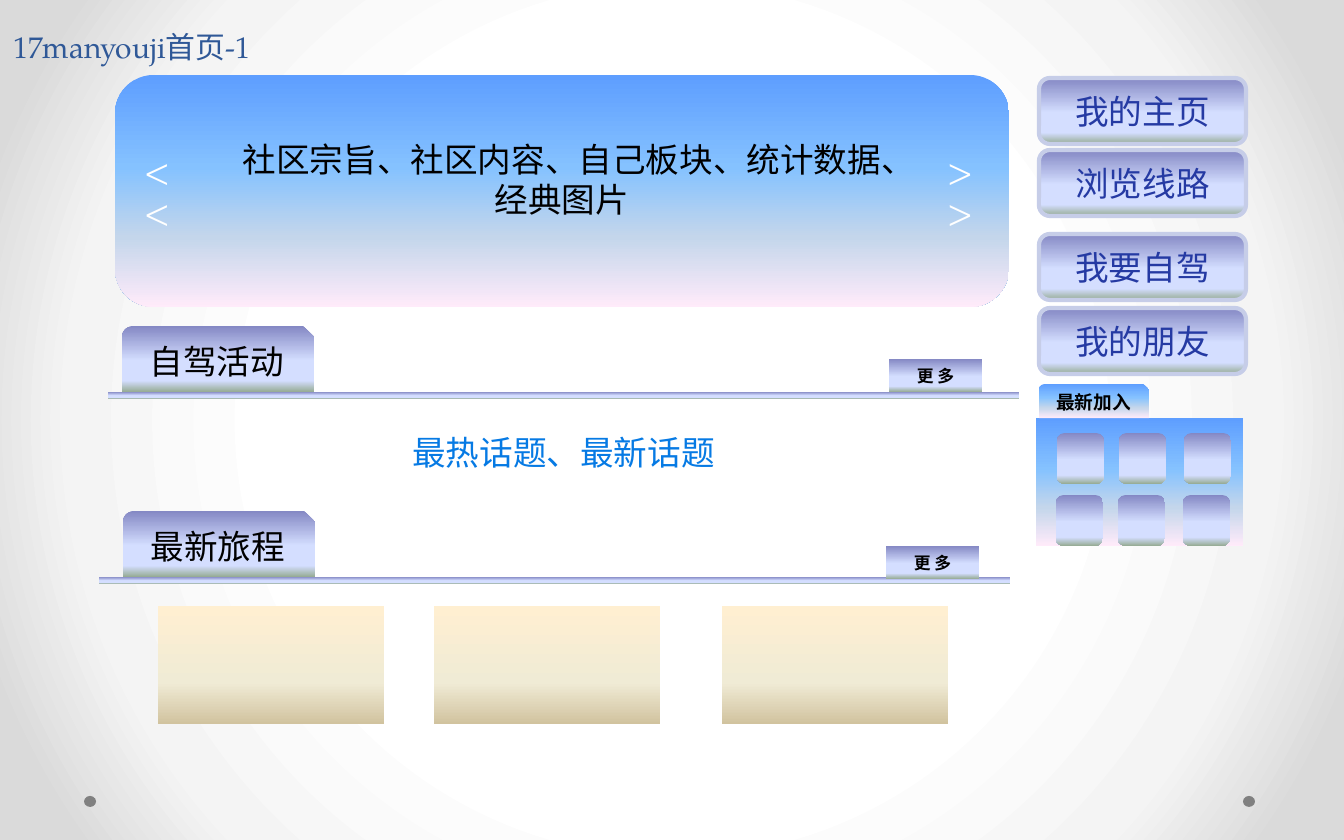
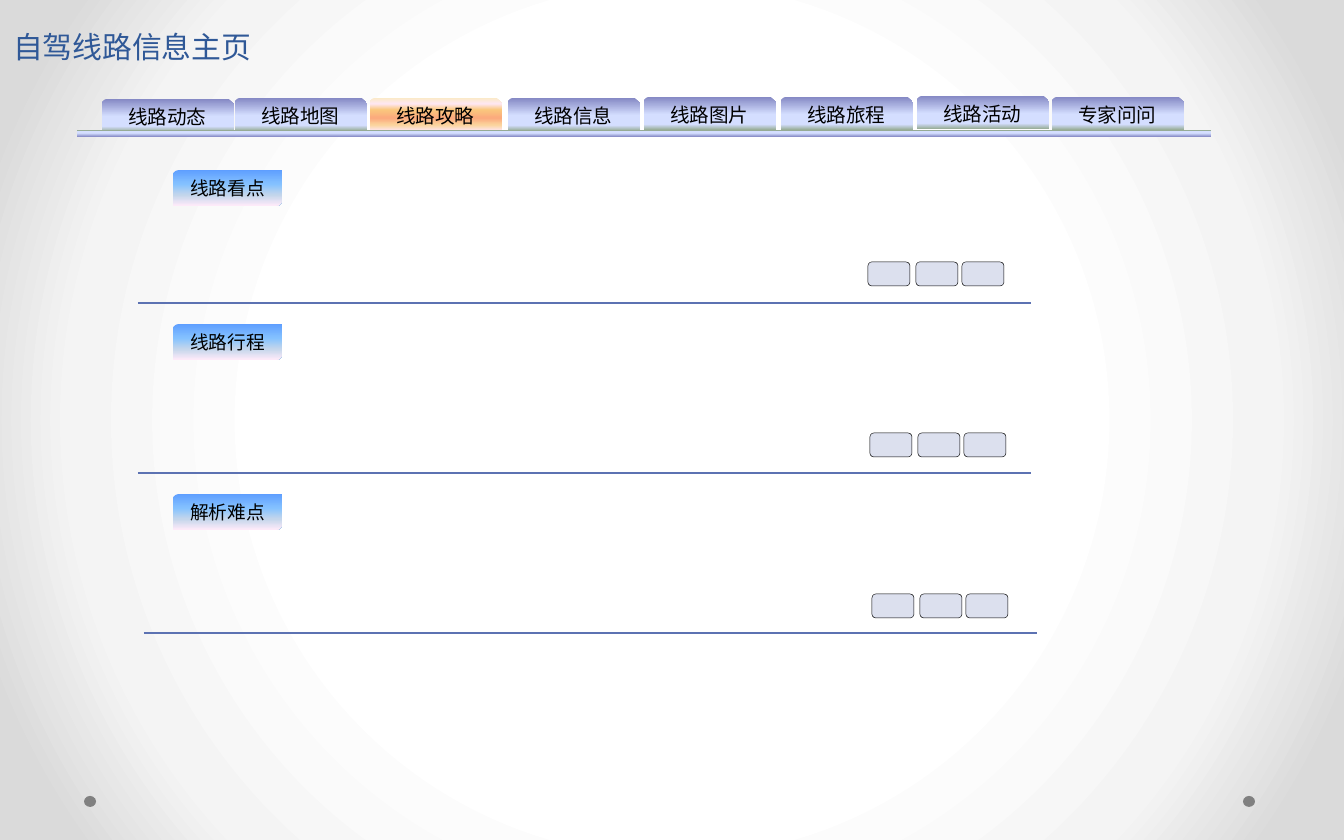
from lxml import etree
from pptx import Presentation
from pptx.dml.color import RGBColor
from pptx.enum.shapes import MSO_CONNECTOR, MSO_SHAPE
from pptx.enum.text import MSO_ANCHOR, PP_ALIGN
from pptx.oxml.ns import qn
from pptx.util import Emu, Pt

RECT = MSO_SHAPE.RECTANGLE
ROUND = MSO_SHAPE.ROUNDED_RECTANGLE
TAB = MSO_SHAPE.SNIP_ROUND_RECTANGLE
DIAG = MSO_SHAPE.ROUND_2_DIAG_RECTANGLE
OVAL = MSO_SHAPE.OVAL
STRAIGHT = MSO_CONNECTOR.STRAIGHT
MIDDLE, BOTTOM = MSO_ANCHOR.MIDDLE, MSO_ANCHOR.BOTTOM
LEFT, CENTER = PP_ALIGN.LEFT, PP_ALIGN.CENTER

FONT = "TeX Gyre Pagella"
PX = 914400 / 134.4
COLORS = {
    "title": "2F5897", "text": "000000", "white": "FFFFFF", "topic": "067AE4",
    "button": "253AA3", "button_edge": "C6CDE8", "dot": "808080",
    "rule": "5C72B2", "chip": "6076B4",
}
GRADIENTS = {
    "page": [(50, "FFFFFF"), (76, "F4F4F4"), (92, "DADADA")],
    "sky": [(0, "5E9EFF"), (40, "85C2FF"), (70, "C4D6EB"), (100, "FFEBFA")],
    "lilac": [(0, "8488C4"), (53, "D4DEFF"), (83, "D4DEFF"), (100, "96AB94")],
    "sand": [(0, "FFEFD1"), (65, "F0EBD5"), (100, "D1C39F")],
    "peach": [(0, "FBEAC7"), (18, "FEE7F2"), (36, "FAC77D"),
              (61, "FBA97D"), (82, "FBD49C"), (100, "FEE7F2")],
}


def px(*values):
    return [Emu(round(v * PX)) for v in values]


def rgb(name):
    return RGBColor.from_string(COLORS[name])


def add_child(parent, tag, **attrs):
    return etree.SubElement(parent, qn(tag), attrs)


def paint_gradient(fill, element, name, radial=False):
    fill.gradient()
    grad = element.find(".//" + qn("a:gradFill"))
    for child in list(grad):
        grad.remove(child)
    stops = add_child(grad, "a:gsLst")
    for pos, color in GRADIENTS[name]:
        stop = add_child(stops, "a:gs", pos=str(pos * 1000))
        add_child(stop, "a:srgbClr", val=color)
    if radial:
        circle = add_child(grad, "a:path", path="circle")
        add_child(circle, "a:fillToRect", l="50000", t="50000", r="50000", b="50000")
    else:
        add_child(grad, "a:lin", ang="5400000", scaled="0")


def write(sp, text, size=18, color="text", bold=False, align=CENTER,
          anchor=MIDDLE, spacing=None):
    tf = sp.text_frame
    tf.word_wrap = True
    tf.vertical_anchor = anchor
    p = tf.paragraphs[0]
    p.alignment = align
    if spacing:
        p.line_spacing = Pt(spacing)
    r = p.add_run()
    r.text = text
    r.font.name = FONT
    r.font.size = Pt(size)
    r.font.bold = bold
    r.font.color.rgb = rgb(color)


def add_text(s, box, text, **fmt):
    write(s.shapes.add_textbox(*px(*box)), text, **fmt)


def add_box(s, kind, box, fill, text=None, line=None, weight=1, alpha=None, **fmt):
    sp = s.shapes.add_shape(kind, *px(*box))
    sp.shadow.inherit = False
    if fill in GRADIENTS:
        paint_gradient(sp.fill, sp.element.spPr, fill)
    else:
        sp.fill.solid()
        sp.fill.fore_color.rgb = rgb(fill)
    if alpha:
        clr = sp.element.spPr.find(qn("a:solidFill")).find(qn("a:srgbClr"))
        add_child(clr, "a:alpha", val=str(alpha * 1000))
    if line:
        sp.line.color.rgb = rgb(line)
        sp.line.width = Pt(weight)
    else:
        sp.line.fill.background()
    if text:
        write(sp, text, **fmt)
    return sp


def add_rule(s, x, y, width):
    line = s.shapes.add_connector(STRAIGHT, *px(x, y, x + width, y))
    line.line.color.rgb = rgb("rule")
    line.line.width = Pt(0.75)
    add_child(line._element.spPr, "a:effectLst")


def add_page(prs, title):
    s = prs.slides.add_slide(prs.slide_layouts[6])
    paint_gradient(s.background.fill, s.element, "page", radial=True)
    for x in (1243, 84):
        add_box(s, OVAL, (x, 796, 12, 11), "dot")
    add_text(s, (0, 0, 570, 71), title, size=16, color="title",
             align=LEFT, anchor=BOTTOM, spacing=58)
    return s


def add_heading(s, text, tab_x, tab_y, bar_x, more_x, more_y):
    add_box(s, TAB, (tab_x, tab_y, 192, 66), "lilac", text)
    add_box(s, RECT, (bar_x, tab_y + 66, 911, 7), "lilac")
    add_box(s, RECT, (more_x, more_y, 93, 33), "lilac", "更 多", size=9, bold=True)


def add_members(s):
    add_box(s, RECT, (1036, 418, 207, 128), "sky")
    add_box(s, TAB, (1039, 384, 110, 34), "sky", "最新加入", size=10, bold=True)
    for left, y in ((1057, 433), (1056, 495)):
        for dx in (0, 62, 127):
            add_box(s, ROUND, (left + dx, y, 47, 51), "lilac")


def add_section(s, name, tag_y, chip_x, chip_y, rule_x, rule_y):
    add_box(s, DIAG, (173, tag_y, 109, 36), "sky", name, size=10)
    add_rule(s, rule_x, rule_y, 893)
    for dx in (0, 48, 94):
        add_box(s, ROUND, (chip_x + dx, chip_y, 42, 24), "chip",
                line="text", weight=0.25, alpha=22)


def build_home(prs):
    s = add_page(prs, "17manyouji首页-1")
    add_box(s, ROUND, (115, 75, 894, 232), "sky")
    add_text(s, (228, 112, 668, 134), "社区宗旨、社区内容、自己板块、统计数据、经典图片")
    for x, arrows in ((925, ">>"), (122, "<<")):
        add_text(s, (x, 159, 71, 63), arrows, color="white")
    add_heading(s, "自驾活动", 122, 326, 108, 889, 359)
    add_text(s, (138, 409, 851, 86), "最热话题、最新话题", color="topic")
    add_heading(s, "最新旅程", 123, 511, 99, 886, 546)
    for y, label in ((78, "我的主页"), (150, "浏览线路"),
                     (234, "我要自驾"), (308, "我的朋友")):
        add_box(s, ROUND, (1039, y, 207, 66), "lilac", label,
                line="button_edge", weight=2.25, color="button")
    for x in (158, 434, 722):
        add_box(s, RECT, (x, 606, 226, 118), "sand")
    add_members(s)


def build_route(prs):
    s = add_page(prs, "自驾线路信息主页")
    tabs = [("线路动态", 102, 99), ("线路地图", 235, 98), ("线路攻略", 370, 98),
            ("线路信息", 508, 98), ("线路图片", 644, 97), ("线路旅程", 781, 97),
            ("线路活动", 917, 96), ("专家问问", 1052, 97)]
    for label, x, y in tabs:
        fill = "peach" if label == "线路攻略" else "lilac"
        add_box(s, TAB, (x, y, 132, 33), fill, label, size=10.5)
    bar = add_box(s, RECT, (77, 130, 1134, 7), "lilac")
    bar.element.spPr.xfrm.set("flipV", "1")
    add_section(s, "线路看点", 170, 868, 262, 138, 303)
    add_section(s, "线路行程", 324, 870, 433, 138, 473)
    add_section(s, "解析难点", 494, 872, 594, 144, 633)


def main():
    prs = Presentation()
    prs.slide_width, prs.slide_height = px(1344, 840)
    build_home(prs)
    build_route(prs)
    prs.save("out.pptx")


if __name__ == "__main__":
    main()
